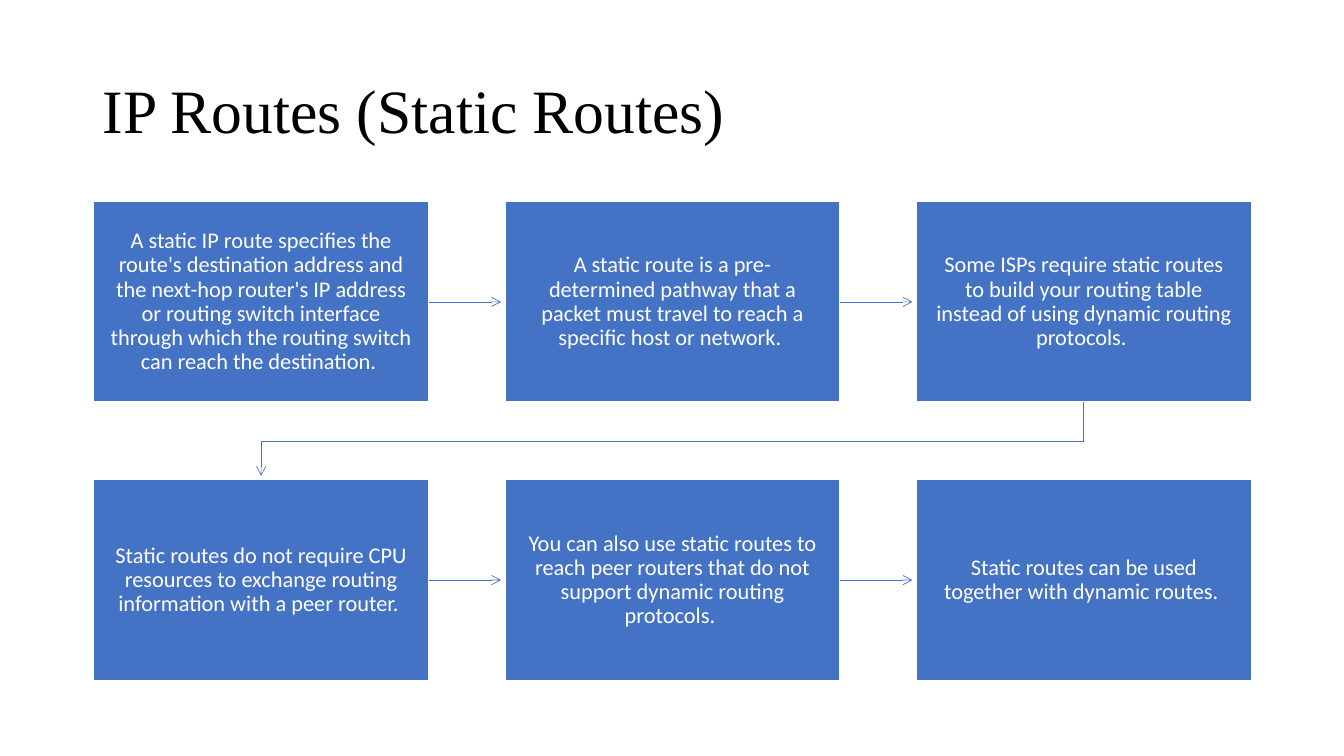
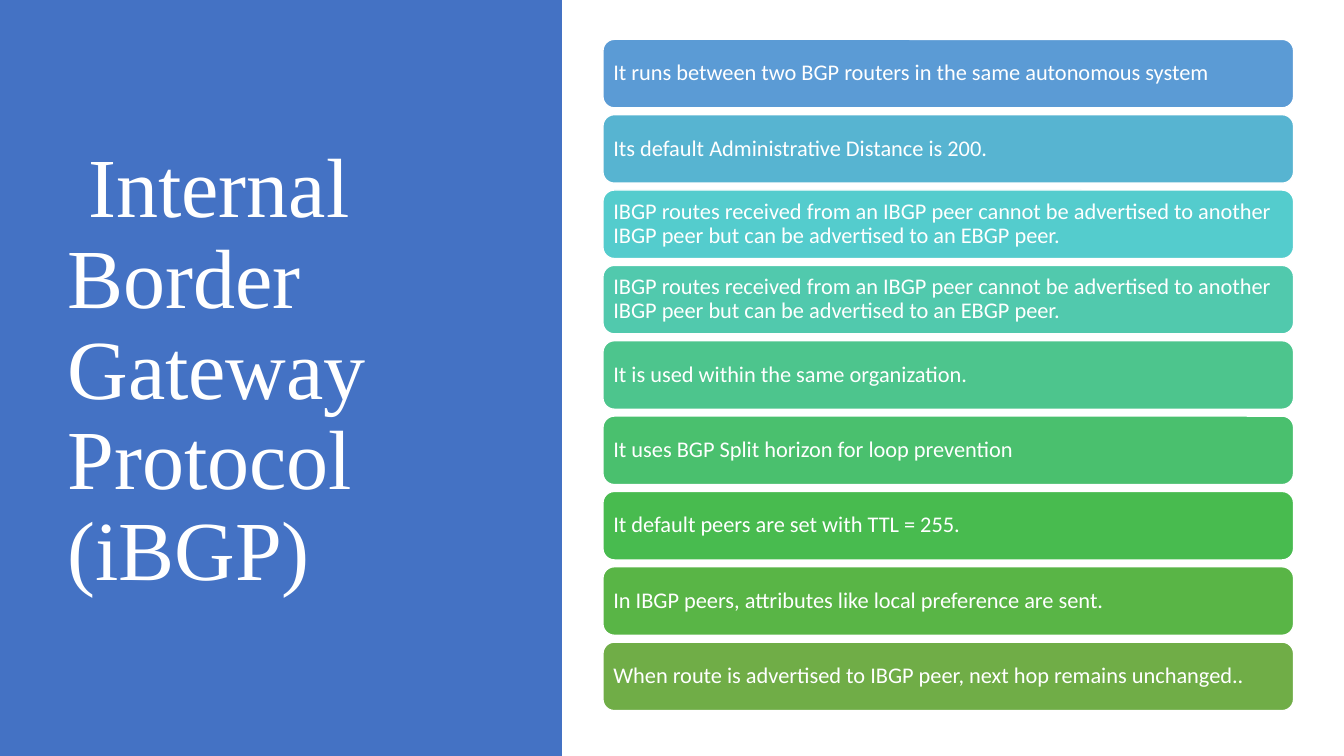
from dataclasses import dataclass

from lxml import etree
from pptx import Presentation
from pptx.dml.color import RGBColor
from pptx.enum.shapes import MSO_CONNECTOR as CONN, MSO_SHAPE as SHAPE
from pptx.enum.text import MSO_ANCHOR as ANCHOR, PP_ALIGN as ALIGN
from pptx.oxml.ns import qn
from pptx.util import Inches, Pt

SLIDE_W, SLIDE_H = 13.33, 7.5
BLUE, WHITE, BLACK = "4472C4", "FFFFFF", "000000"
TITLE_FONT, BODY_FONT = "Times New Roman", "Calibri"
BODY_SIZE = 16
ARROW_WIDTH = 0.5
ARROW_GAP = 0.04
BOTTOM, RIGHT = 2, 3


@dataclass(frozen=True)
class Box:
    x: float
    y: float
    w: float
    h: float

    @property
    def emu(self) -> tuple:
        return tuple(Inches(v) for v in (self.x, self.y, self.w, self.h))

    @property
    def center_x(self) -> float:
        return self.x + self.w / 2

    @property
    def center_y(self) -> float:
        return self.y + self.h / 2


@dataclass(frozen=True)
class Grid:
    """Equal cells spread evenly over a frame; the gaps follow."""
    frame: Box
    cols: int
    rows: int
    cell_w: float
    cell_h: float

    def cell(self, index: int) -> Box:
        row, col = divmod(index, self.cols)
        step_x = (self.frame.w - self.cell_w) / max(self.cols - 1, 1)
        step_y = (self.frame.h - self.cell_h) / max(self.rows - 1, 1)
        return Box(self.frame.x + col * step_x, self.frame.y + row * step_y,
                   self.cell_w, self.cell_h)


@dataclass(frozen=True)
class TextStyle:
    font: str
    size: float
    color: str
    align: ALIGN = ALIGN.LEFT
    inset_x: float = 0.1
    inset_y: float = 0.05


@dataclass(frozen=True)
class Bar:
    text: str
    fill: str


STEP_STYLE = TextStyle(BODY_FONT, BODY_SIZE, WHITE, ALIGN.CENTER, 0.16, 0.17)
BAR_STYLE = TextStyle(BODY_FONT, BODY_SIZE, WHITE, ALIGN.LEFT, 0.07, 0.07)

STEPS = [
    "A static IP route specifies the route's destination address and the "
    "next-hop router's IP address or routing switch interface through which "
    "the routing switch can reach the destination. ",
    "A static route is a pre-determined pathway that a packet must travel to "
    "reach a specific host or network. ",
    "Some ISPs require static routes to build your routing table instead of "
    "using dynamic routing protocols. ",
    "Static routes do not require CPU resources to exchange routing "
    "information with a peer router. ",
    "You can also use static routes to reach peer routers that do not support "
    "dynamic routing protocols. ",
    "Static routes can be used together with dynamic routes. ",
]
STEP_GRID = Grid(Box(0.93, 2, 11.48, 4.75), 3, 2, 3.32, 1.99)

ADVERTISING = ("IBGP routes received from an IBGP peer cannot be advertised to "
               "another IBGP peer but can be advertised to an EBGP peer.")
BARS = [
    Bar("It runs between two BGP routers in the same autonomous system", "5B9BD5"),
    Bar("Its default Administrative Distance is 200.", "57B4D1"),
    Bar(ADVERTISING, "54CCCD"),
    Bar(ADVERTISING, "51C9AD"),
    Bar("It is used within the same organization.", "4DC58D"),
    Bar("It uses BGP Split horizon for loop prevention", "4AC06E"),
    Bar("It default peers are set with TTL = 255.", "48BB4F"),
    Bar("In IBGP peers, attributes like local preference are sent.", "59B546"),
    Bar("When route is advertised to IBGP peer, next hop remains unchanged..", "70AD47"),
]
BAR_GRID = Grid(Box(5.98, 0.39, 6.85, 6.66), 1, len(BARS), 6.85, 0.68)


def rgb(color: str) -> RGBColor:
    return RGBColor.from_string(color)


def set_text(sp, text: str, style: TextStyle) -> None:
    tf = sp.text_frame
    tf.word_wrap = True
    tf.vertical_anchor = ANCHOR.MIDDLE
    tf.margin_left = tf.margin_right = Inches(style.inset_x)
    tf.margin_top = tf.margin_bottom = Inches(style.inset_y)
    tf.text = text
    p = tf.paragraphs[0]
    p.alignment = style.align
    p.line_spacing = 0.9
    font = p.runs[0].font
    font.name, font.size = style.font, Pt(style.size)
    font.color.rgb = rgb(style.color)


def add_title(s, box: Box, text: str, size: float, color: str) -> None:
    set_text(s.shapes.add_textbox(*box.emu), text, TextStyle(TITLE_FONT, size, color))


def add_block(s, kind: SHAPE, box: Box, fill: str, outline: str = ""):
    sp = s.shapes.add_shape(kind, *box.emu)
    sp.shadow.inherit = False
    sp.fill.solid()
    sp.fill.fore_color.rgb = rgb(fill)
    if outline:
        sp.line.color.rgb = rgb(outline)
        sp.line.width = Pt(1)
    else:
        sp.line.fill.background()
    return sp


def style_arrow(line) -> None:
    line.color.rgb = rgb(BLUE)
    line.width = Pt(ARROW_WIDTH)
    etree.SubElement(line._get_or_add_ln(), qn("a:tailEnd"), type="arrow")


def add_arrow(s, start_sp, start: Box, end: Box) -> None:
    """Straight arrow from a box to just short of its right neighbour."""
    y = Inches(start.center_y)
    c = s.shapes.add_connector(CONN.STRAIGHT, Inches(start.x + start.w), y,
                               Inches(end.x - ARROW_GAP), y)
    c.begin_connect(start_sp, RIGHT)
    style_arrow(c.line)
    etree.SubElement(c._element.spPr, qn("a:effectLst"))


def add_return_arrow(s, start: Box, end: Box) -> None:
    """Bent arrow from the end of one row to the start of the next."""
    bottom = start.y + start.h
    middle = (bottom + end.y) / 2
    points = [(start.center_x, bottom), (start.center_x, middle),
              (end.center_x, middle), (end.center_x, end.y - ARROW_GAP)]
    first, *rest = [(Inches(x), Inches(y)) for x, y in points]
    builder = s.shapes.build_freeform(*first)
    builder.add_line_segments(rest, close=False)
    sp = builder.convert_to_shape()
    sp.shadow.inherit = False
    sp.fill.background()
    style_arrow(sp.line)


def build_static_routes(s) -> None:
    add_title(s, Box(0.92, 0.4, 11.5, 1.45), "IP Routes (Static Routes)", 44, BLACK)
    cells = [STEP_GRID.cell(i) for i in range(len(STEPS))]
    blocks = []
    for cell, text in zip(cells, STEPS):
        sp = add_block(s, SHAPE.RECTANGLE, cell, BLUE, WHITE)
        set_text(sp, text, STEP_STYLE)
        blocks.append(sp)
    for sp, start, end in zip(blocks, cells, cells[1:]):
        if start.y == end.y:
            add_arrow(s, sp, start, end)
        else:
            add_return_arrow(s, start, end)


def build_ibgp(s) -> None:
    add_block(s, SHAPE.RECTANGLE, Box(0, 0, 0.418 * SLIDE_W, SLIDE_H), BLUE)
    add_title(s, Box(0.57, 0.68, 4.16, 6.02),
              " Internal Border Gateway Protocol (iBGP)", 60, WHITE)
    for i, bar in enumerate(BARS):
        sp = add_block(s, SHAPE.ROUNDED_RECTANGLE, BAR_GRID.cell(i), bar.fill, WHITE)
        set_text(sp, bar.text, BAR_STYLE)


def main() -> None:
    prs = Presentation()
    prs.slide_width, prs.slide_height = Inches(SLIDE_W), Inches(SLIDE_H)
    blank = prs.slide_layouts[6]
    for build in (build_static_routes, build_ibgp):
        build(prs.slides.add_slide(blank))
    prs.save("out.pptx")


if __name__ == "__main__":
    main()
